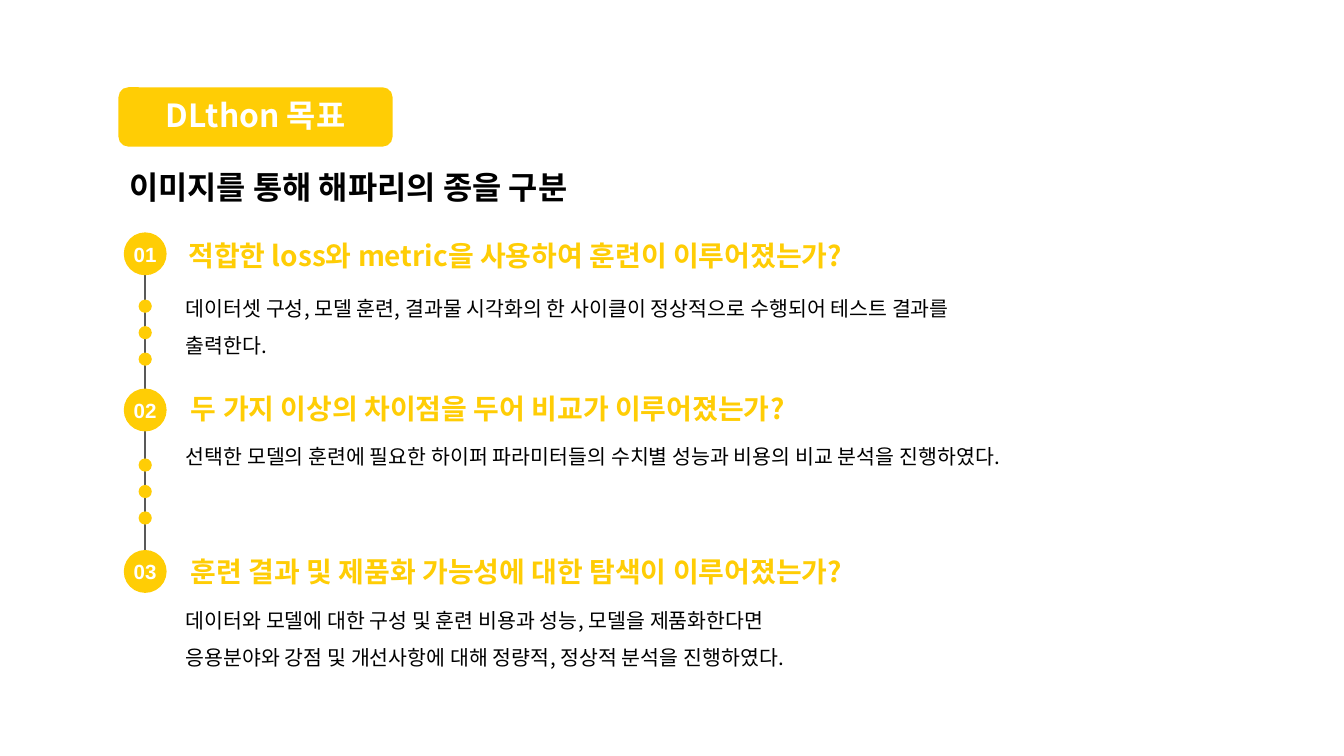
from lxml.etree import SubElement
from pptx import Presentation
from pptx.dml.color import RGBColor
from pptx.enum.shapes import MSO_CONNECTOR, MSO_SHAPE
from pptx.enum.text import MSO_ANCHOR, MSO_AUTO_SIZE, PP_ALIGN
from pptx.oxml.ns import qn
from pptx.util import Cm, Pt

YELLOW, WHITE, BLACK, GREY = "FFCD05", "FFFFFF", "000000", "595959"
KOREAN = "Noto Sans CJK KR"

# Format values: text frame, paragraph, font
PADDED = dict(margin_left=Cm(0.18), margin_right=Cm(0.18),
              margin_top=Cm(0.1), margin_bottom=Cm(0.1), word_wrap=True)
TIGHT = dict(margin_left=0, margin_right=0, margin_top=0, margin_bottom=0,
             word_wrap=True)
MIDDLE = dict(vertical_anchor=MSO_ANCHOR.MIDDLE)
GROW = dict(auto_size=MSO_AUTO_SIZE.SHAPE_TO_FIT_TEXT)

BADGE = (PADDED | MIDDLE, dict(alignment=PP_ALIGN.CENTER, line_spacing=0.9),
         dict(size=Pt(17), bold=True, name=KOREAN), WHITE)
SUBTITLE = (PADDED | GROW, {}, dict(size=Pt(17), bold=True, name=KOREAN), BLACK)
QUESTION = (PADDED | MIDDLE, dict(alignment=PP_ALIGN.LEFT),
            dict(size=Pt(15), bold=True, name=KOREAN), YELLOW)
ANSWER = (TIGHT | GROW, dict(line_spacing=1.5),
          dict(size=Pt(11), name=KOREAN), BLACK)
NUMBER = (TIGHT | MIDDLE, dict(alignment=PP_ALIGN.CENTER),
          dict(size=Pt(11), bold=True, name="Arial"), WHITE)

prs = Presentation()
prs.slide_width, prs.slide_height = Cm(25.4), Cm(14.28)
slide = prs.slides.add_slide(prs.slide_layouts[6])
shapes = slide.shapes


def add_block(kind, box, fill=None):
    """Add a flat preset shape without outline."""
    block = shapes.add_shape(kind, *map(Cm, box))
    block.shadow.inherit = False
    block.line.fill.background()
    if fill:
        block.fill.solid()
        block.fill.fore_color.rgb = RGBColor.from_string(fill)
    else:
        block.fill.background()
    return block


def write(target, lines, style):
    """Fill a shape with one paragraph per line in the given style."""
    frame_format, paragraph_format, font_format, color = style
    frame = target.text_frame
    frame.text = "\n".join(lines)
    for name, value in frame_format.items():
        setattr(frame, name, value)
    for paragraph in frame.paragraphs:
        for name, value in paragraph_format.items():
            setattr(paragraph, name, value)
        run = paragraph.runs[0]
        for name, value in font_format.items():
            setattr(run.font, name, value)
        run.font.color.rgb = RGBColor.from_string(color)
        SubElement(run.font._element, qn("a:ea"), typeface=font_format["name"])


# Timeline
timeline = shapes.add_connector(MSO_CONNECTOR.STRAIGHT,
                                Cm(2.74), Cm(10.67), Cm(2.74), Cm(4.78))
timeline.line.color.rgb = RGBColor.from_string(GREY)
timeline.line.width = Pt(0.75)
SubElement(timeline._element.spPr, qn("a:effectLst"))

# Title badge and subtitle
badge = add_block(MSO_SHAPE.ROUNDED_RECTANGLE, (2.24, 1.65, 5.18, 1.12), YELLOW)
write(badge, ["DLthon 목표"], BADGE)
subtitle = shapes.add_textbox(Cm(2.26), Cm(3.07), Cm(15.93), Cm(0.91))
write(subtitle, ["이미지를 통해 해파리의 종을 구분"], SUBTITLE)

# Goals: circle top, question and its box, answer lines and their box
goals = [
    (4.39, "적합한 loss와 metric을 사용하여 훈련이 이루어졌는가?",
     (3.25, 4.37, 14.22, 0.89),
     ["데이터셋 구성, 모델 훈련, 결과물 시각화의 한 사이클이 정상적으로 수행되어 "
      "테스트 결과를 출력한다."], (3.51, 5.36, 15.47, 0.48)),
    (7.34, "두 가지 이상의 차이점을 두어 비교가 이루어졌는가?",
     (3.3, 7.26, 13.97, 0.89),
     ["선택한 모델의 훈련에 필요한 하이퍼 파라미터들의 수치별 성능과 비용의 "
      "비교 분석을 진행하였다."], (3.51, 8.15, 16.56, 0.48)),
    (10.39, "훈련 결과 및 제품화 가능성에 대한 탐색이 이루어졌는가?",
     (3.3, 10.34, 15.67, 0.89),
     ["데이터와 모델에 대한 구성 및 훈련 비용과 성능, 모델을 제품화한다면",
      "응용분야와 강점 및 개선사항에 대해 정량적, 정상적 분석을 진행하였다."],
     (3.51, 11.25, 19.71, 1.17)),
]
for index, (top, question, question_box, answer, answer_box) in enumerate(goals, 1):
    heading = add_block(MSO_SHAPE.ROUNDED_RECTANGLE, question_box)
    heading.adjustments[0] = 0.5
    write(heading, [question], QUESTION)
    write(shapes.add_textbox(*map(Cm, answer_box)), answer, ANSWER)
    circle = add_block(MSO_SHAPE.OVAL, (2.34, top, 0.81, 0.81), YELLOW)
    write(circle, [f"{index:02d}"], NUMBER)

# Three dots between neighbouring circles
for first_dot in (5.66, 8.66):
    for step in range(3):
        add_block(MSO_SHAPE.OVAL, (2.62, first_dot + 0.5 * step, 0.25, 0.25), YELLOW)

prs.save("out.pptx")
